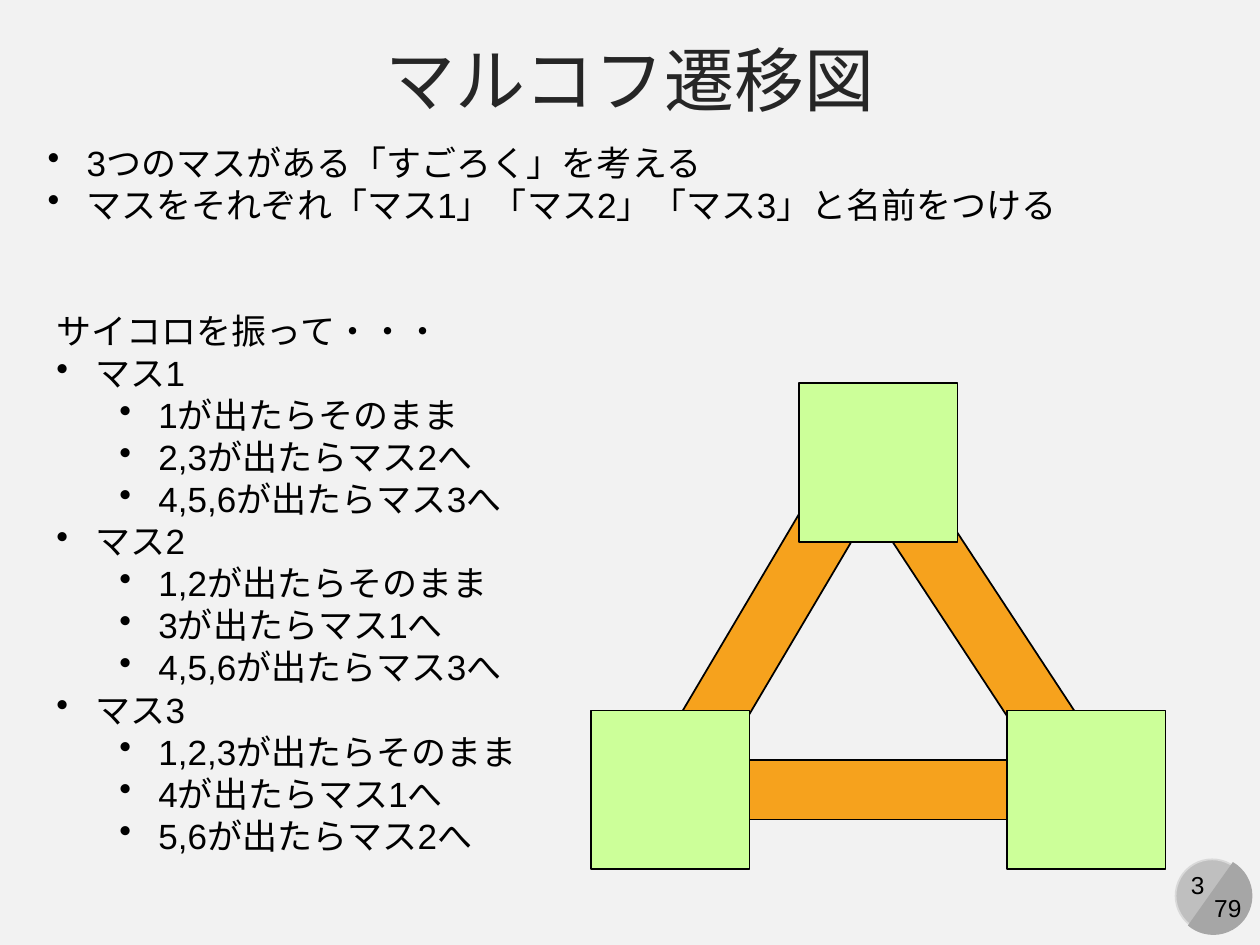
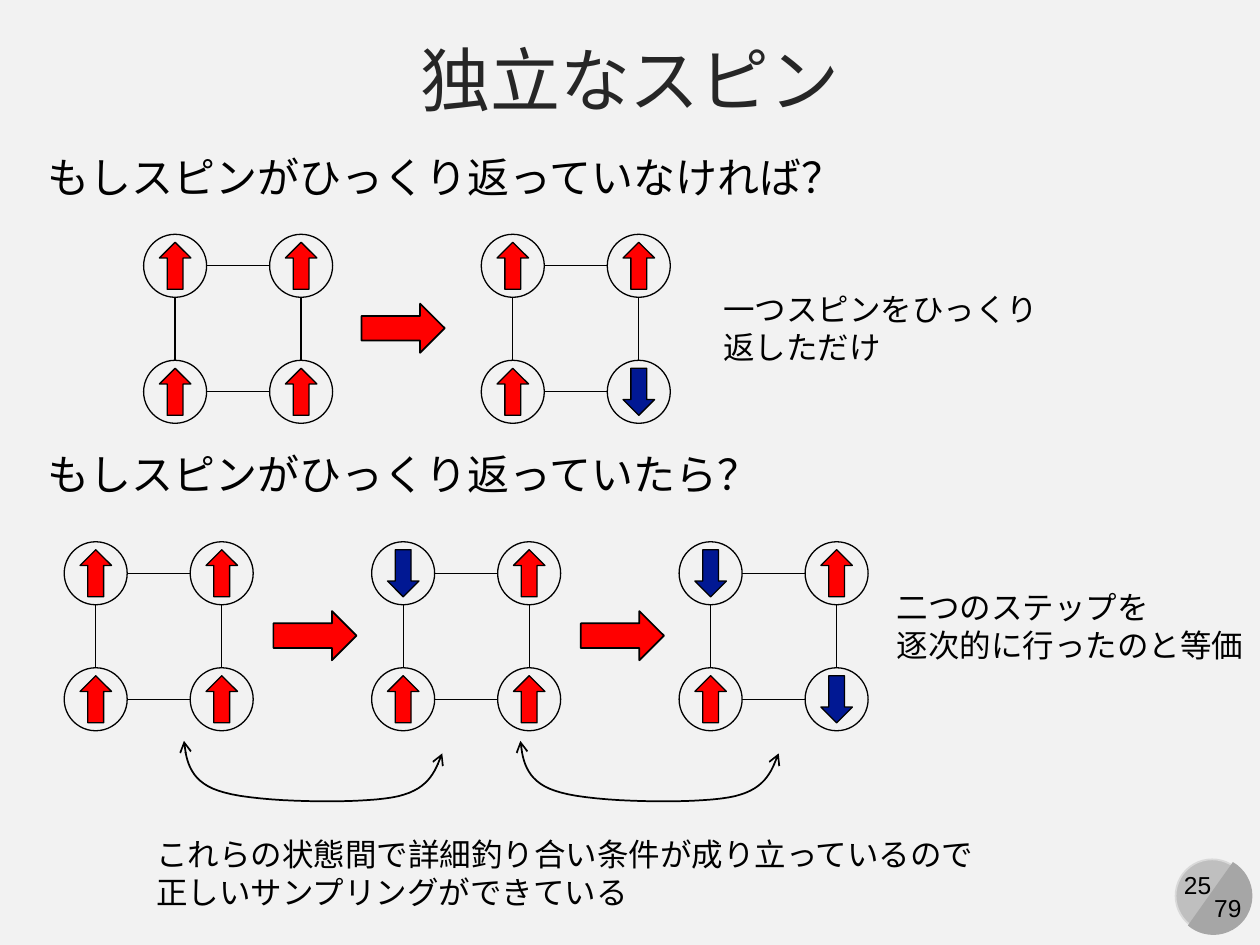
from pptx import Presentation, util as u
from pptx.dml.color import RGBColor
from pptx.enum import shapes as s, text as t
from pptx.oxml.ns import qn
from lxml import etree

COLUMNS, ROWS = 100, 75
FONT = "Arial"
BLACK, TITLE, PAPER = "000000", "262626", "F2F2F2"
RED, NAVY, GREEN, ORANGE = "FF0000", "011893", "CCFF99", "F6A21D"
BADGE, BADGE_EDGE, BADGE_SHADE = "BFBFBF", "D9D9D9", "A6A6A6"
PAGE_TOTAL = 79
INDENT, LEVEL_STEP = 0.31, 0.5


def rgb(code):
    return RGBColor.from_string(code)


def bezier(start, control_1, control_2, end, steps=16):
    """Points along a cubic curve, without its start."""
    for step in range(1, steps + 1):
        b = step / steps
        a = 1 - b
        weights = (a**3, 3 * a * a * b, 3 * a * b * b, b**3)
        yield tuple(
            sum(w * point[axis] for w, point in zip(weights, (start, control_1, control_2, end)))
            for axis in (0, 1)
        )


class Deck:
    """Shared style and the current slide; lengths are grid columns and rows."""

    def __init__(self):
        self.presentation = Presentation()
        self.presentation.slide_width = u.Inches(10)
        self.presentation.slide_height = u.Inches(7.5)
        self.column = self.presentation.slide_width / COLUMNS
        self.row = self.presentation.slide_height / ROWS
        fill = self.presentation.slide_master.background.fill
        fill.solid()
        fill.fore_color.rgb = rgb(PAPER)
        self.slide = None

    def place(self, *lengths):
        """Grid pairs (column, row, ...) as slide lengths."""
        return [round(length * (self.row if i % 2 else self.column)) for i, length in enumerate(lengths)]

    def new_slide(self, title, page):
        self.slide = self.presentation.slides.add_slide(self.presentation.slide_layouts[5])
        self.badge(page)
        shape = self.slide.shapes.title
        shape.left, shape.top, shape.width, shape.height = self.place(0, 2.1, 100, 8.2)
        frame = shape.text_frame
        frame.text = title
        frame.vertical_anchor = t.MSO_ANCHOR.MIDDLE
        self.style(frame.paragraphs[0], 40, TITLE, t.PP_ALIGN.CENTER)

    def style(self, paragraph, size, color=BLACK, align=t.PP_ALIGN.LEFT):
        font = paragraph.font
        font.name, font.size, font.color.rgb = FONT, u.Pt(size), rgb(color)
        paragraph.alignment = align

    def badge(self, page):
        self.shape(s.MSO_SHAPE.OVAL, 93.3, 68.2, 5.8, 5.8, BADGE, BADGE_EDGE)
        chord = self.shape(s.MSO_SHAPE.CHORD, 93.2, 68, 6.2, 6.2, BADGE_SHADE, None, rotation=255)
        chord.adjustments[0], chord.adjustments[1] = 27, 141.42
        for number, left, top in ((page, 92.9, 68.6), (PAGE_TOTAL, 95.3, 70.4)):
            box = self.text([str(number)], left, top, 4.3, 3.4, 14, t.PP_ALIGN.CENTER)
            box.text_frame.margin_left = box.text_frame.margin_right = 0

    def shape(self, kind, left, top, width, height, fill=None, line=BLACK, weight=1, rotation=0, parent=None):
        shapes = (parent or self.slide).shapes
        shape = shapes.add_shape(kind, *self.place(left, top, width, height))
        shape.shadow.inherit = False
        shape.rotation = rotation
        if fill:
            shape.fill.solid()
            shape.fill.fore_color.rgb = rgb(fill)
        else:
            shape.fill.background()
        self.outline(shape, line, weight)
        return shape

    def outline(self, shape, color, weight):
        if color:
            shape.line.color.rgb = rgb(color)
            shape.line.width = u.Pt(weight)
        else:
            shape.line.fill.background()

    def line(self, start, end, parent):
        connector = parent.shapes.add_connector(s.MSO_CONNECTOR.STRAIGHT, *self.place(*start, *end))
        self.outline(connector, BLACK, 0.75)
        etree.SubElement(connector._element.spPr, qn("a:effectLst"))

    def text(self, lines, left, top, width, height, size, align=t.PP_ALIGN.LEFT):
        """Text box; a line is plain text or a (bullet level, text) pair."""
        box = self.slide.shapes.add_textbox(*self.place(left, top, width, height))
        frame = box.text_frame
        frame.word_wrap = True
        for index, line in enumerate(lines):
            paragraph = frame.paragraphs[0] if index == 0 else frame.add_paragraph()
            level, paragraph.text = line if isinstance(line, tuple) else (None, line)
            self.style(paragraph, size, align=align)
            if level is not None:
                self.bullet(paragraph, level)
        return box

    def bullet(self, paragraph, level):
        paragraph.level = level
        properties = paragraph._p.get_or_add_pPr()
        properties.set("marL", str(u.Inches(INDENT + level * LEVEL_STEP)))
        properties.set("indent", str(-u.Inches(INDENT)))
        bullet = etree.Element(qn("a:buChar"), char="•")
        properties.insert_element_before(bullet, "a:tabLst", "a:defRPr", "a:extLst")

    def lattice(self, left, top, spins):
        """Four linked spins, given row by row as arrows."""
        node, pitch = 5, 10
        half, far = node / 2, pitch + node / 2
        group = self.slide.shapes.add_group_shape()
        for index, spin in enumerate(spins):
            x, y = left + index % 2 * pitch, top + index // 2 * pitch
            self.shape(s.MSO_SHAPE.OVAL, x, y, node, node, weight=0.75, parent=group)
            kind, color = {
                "↑": (s.MSO_SHAPE.UP_ARROW, RED),
                "↓": (s.MSO_SHAPE.DOWN_ARROW, NAVY),
            }[spin]
            self.shape(kind, x + 1.25, y + 0.63, 2.5, 3.74, color, weight=0.75, parent=group)
        for side in (half, far):
            self.line((left + side, top + node), (left + side, top + pitch), group)
            self.line((left + node, top + side), (left + pitch, top + side), group)

    def step_arrow(self, left, top):
        self.shape(s.MSO_SHAPE.RIGHT_ARROW, left, top, 6.6, 3.9, RED)

    def exchange_arrow(self, left, top):
        """Curved arrow with a head at both ends."""
        curve = [(0, 0), (0.2, 1.7), (0.5, 3.4), (3.2, 4.1), (6, 4.9), (13.6, 5),
                 (16.5, 4.5), (19.4, 4), (19.9, 2.5), (20.5, 1)]
        curve = [(left + x, top + y) for x, y in curve]
        points = [point for i in range(0, 9, 3) for point in bezier(*curve[i:i + 4])]
        builder = self.slide.shapes.build_freeform(*self.place(*curve[0]))
        builder.add_line_segments([self.place(*point) for point in points], close=False)
        shape = builder.convert_to_shape()
        shape.shadow.inherit = False
        shape.fill.background()
        self.outline(shape, BLACK, 1)
        for end in ("a:headEnd", "a:tailEnd"):
            etree.SubElement(shape.line._get_or_add_ln(), qn(end), type="arrow")


def markov_slide(deck):
    deck.new_slide("マルコフ遷移図", 3)
    for left, top, rotation in ((67.3, 49.3, 90), (59.6, 34.5, 30.6), (75.9, 36.6, 326.7)):
        deck.shape(s.MSO_SHAPE.RECTANGLE, left, top, 4.7, 26.8, ORANGE, rotation=rotation)
    deck.text([(0, "3つのマスがある「すごろく」を考える"),
               (0, "マスをそれぞれ「マス1」「マス2」「マス3」と名前をつける")], 2.8, 10.7, 82.8, 7.7, 20)
    moves = {
        "マス1": ("1が出たらそのまま", "2,3が出たらマス2へ", "4,5,6が出たらマス3へ"),
        "マス2": ("1,2が出たらそのまま", "3が出たらマス1へ", "4,5,6が出たらマス3へ"),
        "マス3": ("1,2,3が出たらそのまま", "4が出たらマス1へ", "5,6が出たらマス2へ"),
    }
    lines = ["サイコロを振って・・・"]
    for square, rules in moves.items():
        lines += [(0, square), *((1, rule) for rule in rules)]
    deck.text(lines, 3.5, 24.1, 43.3, 44.8, 20)
    for left, top in ((63.4, 30.4), (46.9, 56.4), (79.9, 56.4)):
        deck.shape(s.MSO_SHAPE.RECTANGLE, left, top, 12.6, 12.6, GREEN)


def spin_slide(deck):
    deck.new_slide("独立なスピン", 25)
    deck.text(["もしスピンがひっくり返っていなければ？"], 2.8, 11.5, 68, 5, 24)
    for left, spins in ((11.4, "↑↑↑↑"), (38.2, "↑↑↑↓")):
        deck.lattice(left, 18.6, spins)
    deck.step_arrow(28.7, 24.1)
    deck.text(["一つスピンをひっくり", "返しただけ"], 56.4, 22.5, 28, 7.1, 18)

    deck.text(["もしスピンがひっくり返っていたら？"], 2.8, 35.1, 62, 5, 24)
    pitch = 24.4
    for index, spins in enumerate(("↑↑↑↑", "↓↑↑↑", "↓↑↑↓")):
        deck.lattice(5.1 + index * pitch, 43, spins)
    for index in range(2):
        deck.step_arrow(21.7 + index * pitch, 48.5)
        deck.exchange_arrow(14.6 + index * 26.7, 58.8)
    deck.text(["二つのステップを", "逐次的に行ったのと等価"], 70.2, 46.2, 29.8, 7.1, 18)
    deck.text(["これらの状態間で詳細釣り合い条件が成り立っているので", "正しいサンプリングができている"],
              11.4, 65.8, 69, 7.1, 18)


def main():
    deck = Deck()
    markov_slide(deck)
    spin_slide(deck)
    deck.presentation.save("out.pptx")


if __name__ == "__main__":
    main()
